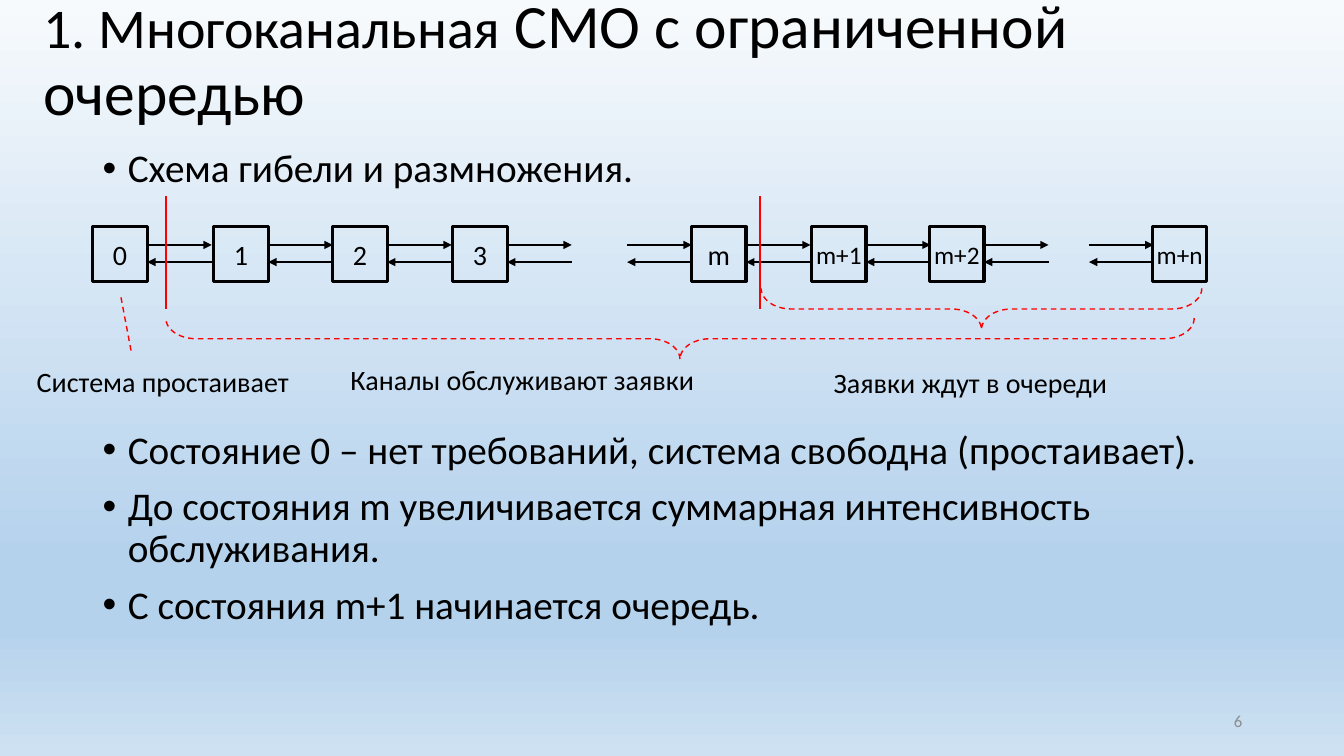
from lxml.etree import SubElement
from pptx import Presentation
from pptx.dml.color import RGBColor
from pptx.enum.dml import MSO_LINE
from pptx.enum.shapes import MSO_CONNECTOR, MSO_SHAPE
from pptx.enum.text import MSO_ANCHOR, PP_ALIGN
from pptx.oxml.ns import qn
from pptx.util import Pt

PX = 9144  # 100 px to the inch
BLACK = RGBColor(0x00, 0x00, 0x00)
RED = RGBColor(0xFF, 0x00, 0x00)
GREY = RGBColor(0x8C, 0x8C, 0x8C)
SKY_STOPS = [
    (0, RGBColor(0xF7, 0xFA, 0xFD)),
    (74, RGBColor(0xB5, 0xD2, 0xEC)),
    (83, RGBColor(0xB5, 0xD2, 0xEC)),
    (100, RGBColor(0xCE, 0xE1, 0xF2)),
]
FONT = "Calibri"

STATE_TOP, STATE_SIZE = 225, 54
FORWARD_Y, BACKWARD_Y, ARROW_LENGTH = 243, 260, 64
STATES = [("0", 92), ("1", 212), ("2", 330), ("3", 449),
          ("m", 686), ("m+1", 805), ("m+2", 922), ("m+n", 1143)]
ARROWS_AFTER_GAPS = [622, 1080]


def px(*lengths):
    return [length * PX for length in lengths]


def paint_background(page):
    fill = page.background.fill
    fill.gradient()
    fill.gradient_angle = 270
    stops = page.element.find(".//" + qn("a:gsLst"))
    for stop in list(stops):
        stops.remove(stop)
    for percent, color in SKY_STOPS:
        stop = SubElement(stops, qn("a:gs"), pos=str(percent * 1000))
        SubElement(stop, qn("a:srgbClr"), val=str(color))


def add_span(para, text, size, color=BLACK):
    span = para.add_run()
    span.text = text
    span.font.name = FONT
    span.font.size = Pt(size)
    span.font.color.rgb = color


def add_text_box(page, left, top, width, height, anchor=MSO_ANCHOR.MIDDLE):
    box = page.shapes.add_textbox(*px(left, top, width, height))
    box.text_frame.word_wrap = True
    box.text_frame.vertical_anchor = anchor
    return box.text_frame


def add_title(page):
    para = add_text_box(page, 33, -11, 1300, 145).paragraphs[0]
    para.line_spacing = 0.9
    add_span(para, "1. Многоканальная", 40)
    add_span(para, " СМО с ограниченной очередью", 44)


def add_caption(page, text, left, top, width, size=20, color=BLACK, align=PP_ALIGN.CENTER):
    para = add_text_box(page, left, top, width, 44).paragraphs[0]
    para.alignment = align
    add_span(para, text, size, color)


def add_bullets(page, top, height, items):
    frame = add_text_box(page, 92, top, 1150, height, MSO_ANCHOR.TOP)
    for index, item in enumerate(items):
        para = frame.add_paragraph() if index else frame.paragraphs[0]
        para.line_spacing = 0.9
        para.space_before = Pt(10 if index else 0)
        properties = para._p.get_or_add_pPr()
        properties.set("marL", str(25 * PX))
        properties.set("indent", str(-25 * PX))
        SubElement(properties, qn("a:buFont"), typeface="Arial")
        SubElement(properties, qn("a:buChar"), char="•")
        add_span(para, item, 28)


def add_line(page, start, end, color, weight):
    line = page.shapes.add_connector(MSO_CONNECTOR.STRAIGHT, *px(*start, *end))
    line.line.color.rgb = color
    line.line.width = Pt(weight)
    SubElement(line._element.spPr, qn("a:effectLst"))
    return line


def add_arrow(page, start_x, end_x, y):
    arrow = add_line(page, (start_x, y), (end_x, y), BLACK, 1)
    SubElement(arrow.line._get_or_add_ln(), qn("a:tailEnd"), type="triangle")


def add_arrow_pair(page, left):
    right = left + ARROW_LENGTH
    add_arrow(page, left, right, FORWARD_Y)
    add_arrow(page, right, left, BACKWARD_Y)


def add_outline(page, kind, left, top, width, height, color, weight):
    shape = page.shapes.add_shape(kind, *px(left, top, width, height))
    shape.shadow.inherit = False
    shape.fill.background()
    shape.line.color.rgb = color
    shape.line.width = Pt(weight)
    return shape


def add_state(page, name, left):
    state = add_outline(page, MSO_SHAPE.RECTANGLE, left, STATE_TOP,
                        STATE_SIZE, STATE_SIZE, BLACK, 2.25)
    frame = state.text_frame
    frame.word_wrap = False
    frame.margin_left = frame.margin_right = 0
    frame.vertical_anchor = MSO_ANCHOR.MIDDLE
    para = frame.paragraphs[0]
    para.alignment = PP_ALIGN.CENTER
    add_span(para, name, 20 if len(name) == 1 else 18)


def add_brace(page, left, top, span):
    """Draw a dashed brace that opens upwards; span is its width on the page."""
    depth = 41
    shift = (span - depth) // 2
    brace = add_outline(page, MSO_SHAPE.LEFT_BRACE, left + shift, top - shift,
                        depth, span, RED, 1)
    brace.rotation = 270
    brace.adjustments[0] = 0.727
    brace.adjustments[1] = 0.5
    brace.line.dash_style = MSO_LINE.DASH


def add_state_chain(page):
    for name, left in STATES:
        add_state(page, name, left)
    starts = [left + STATE_SIZE for _, left in STATES[:-1]]
    for left in starts + ARROWS_AFTER_GAPS:
        add_arrow_pair(page, left)


def main():
    deck = Presentation()
    deck.slide_width, deck.slide_height = px(1333, 750)
    page = deck.slides.add_slide(deck.slide_layouts[6])
    paint_background(page)
    add_title(page)
    add_bullets(page, 143, 55, ["Схема гибели и размножения."])
    add_bullets(page, 422, 274, [
        "Состояние 0 – нет требований, система свободна (простаивает).",
        "До состояния m увеличивается суммарная интенсивность обслуживания.",
        "С состояния m+1 начинается очередь.",
    ])
    add_caption(page, "6", 942, 693, 300, 12, GREY, PP_ALIGN.RIGHT)

    add_state_chain(page)
    for x in (165, 754):
        add_line(page, (x, 194), (x, 307), RED, 1.5)
    idle_pointer = add_line(page, (120, 295), (130, 348), RED, 1)
    idle_pointer.line.dash_style = MSO_LINE.DASH
    add_caption(page, "Система простаивает", 14, 356, 295)
    add_caption(page, "Каналы обслуживают заявки", 332, 354, 372)
    add_caption(page, "Заявки ждут в очереди", 815, 357, 295)
    add_brace(page, 165, 315, 1020)
    add_brace(page, 755, 286, 437)
    deck.save("out.pptx")


if __name__ == "__main__":
    main()
